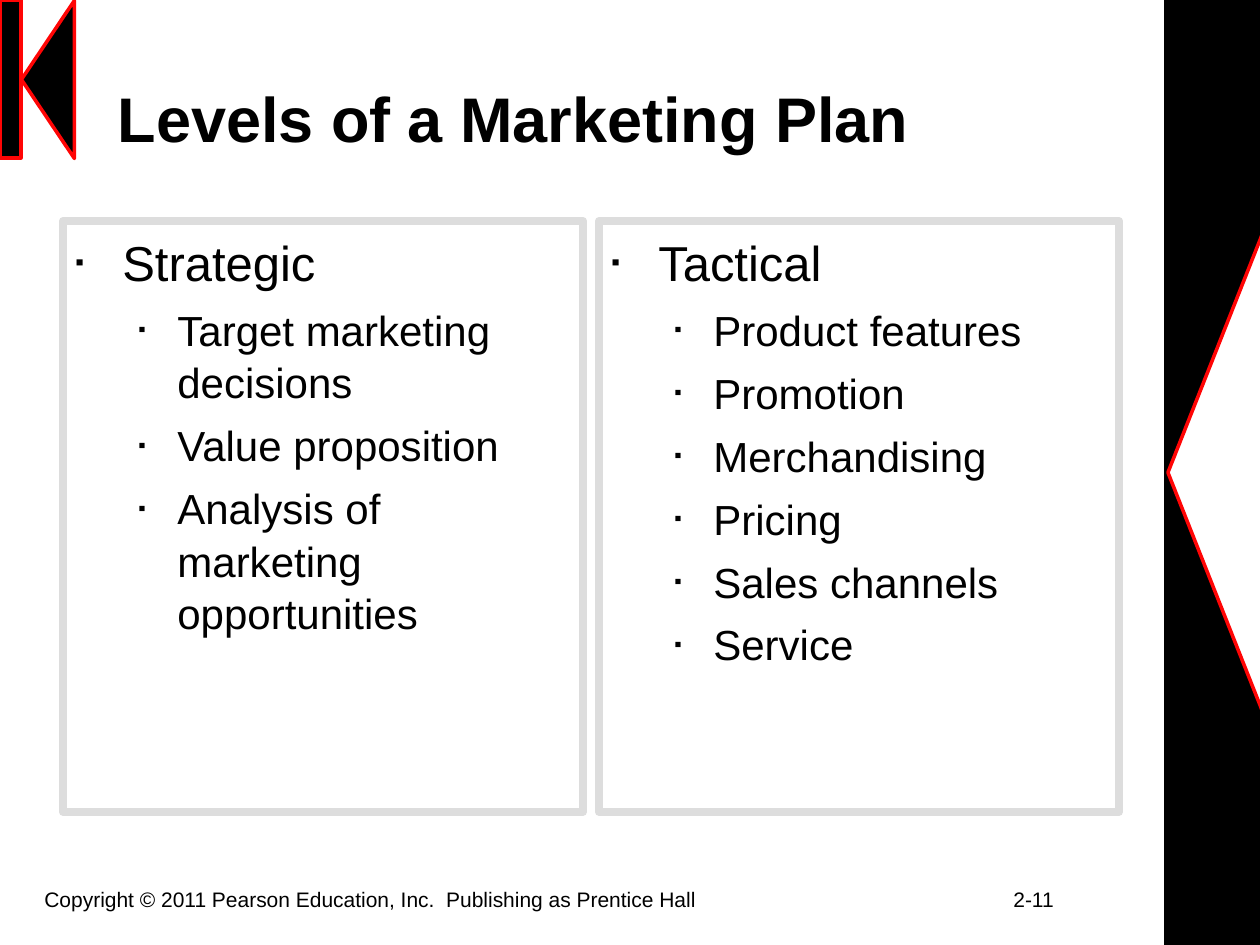
"""Build the slide comparing the levels of a marketing plan."""
from dataclasses import dataclass
from typing import NamedTuple

from lxml.etree import SubElement
from pptx import Presentation
from pptx.dml.color import RGBColor
from pptx.enum.shapes import MSO_SHAPE
from pptx.enum.text import MSO_ANCHOR, MSO_AUTO_SIZE, PP_ALIGN
from pptx.oxml.ns import qn
from pptx.slide import Slide
from pptx.text.text import TextFrame, _Paragraph
from pptx.util import Emu, Pt

EMU_PER_PX = 914400 / 126


@dataclass(frozen=True)
class Theme:
    """Colours, font and type sizes of the slide."""

    black: str = "000000"
    white: str = "FFFFFF"
    red: str = "FF0505"
    border: str = "DDDDDD"
    font: str = "Arial"
    title_size: int = 36
    heading_size: int = 28
    item_size: int = 24
    footer_size: int = 12


class Box(NamedTuple):
    """Left, top, width and height in px."""

    left: int
    top: int
    width: int
    height: int


class Decoration(NamedTuple):
    """A filled, outlined background shape."""

    kind: MSO_SHAPE
    box: Box
    fill: str
    line: str
    rotation: int = 0


class Level(NamedTuple):
    """Indents in px, type size and spacing in points of a bullet level."""

    number: int
    indent: int
    hanging: int
    size: int
    spacing: float


class Panel(NamedTuple):
    """A bordered list with a heading and its items."""

    heading: str
    items: tuple[str, ...]


THEME = Theme()
HEADING = Level(0, 47, 47, THEME.heading_size, 3.5)
ITEM = Level(1, 102, 39, THEME.item_size, 3)
FIRST_PANEL = Box(63, 221, 520, 591)
PANEL_PITCH = 536
FOOTER_TAB = 969

DECORATIONS = (
    Decoration(MSO_SHAPE.RECTANGLE, Box(1166, 0, 94, 945), THEME.black, THEME.black),
    Decoration(MSO_SHAPE.ISOSCELES_TRIANGLE, Box(789, 379, 945, 187), THEME.white, THEME.red, 270),
    Decoration(MSO_SHAPE.ISOSCELES_TRIANGLE, Box(-31, 53, 158, 53), THEME.black, THEME.red, 270),
    Decoration(MSO_SHAPE.RECTANGLE, Box(0, 0, 21, 158), THEME.black, THEME.red),
)
PANELS = (
    Panel("Strategic", (
        "Target marketing decisions",
        "Value proposition",
        "Analysis of marketing opportunities",
    )),
    Panel("Tactical", (
        "Product features",
        "Promotion",
        "Merchandising",
        "Pricing",
        "Sales channels",
        "Service",
    )),
)


def px(length: int) -> Emu:
    """Convert px to EMU."""
    return Emu(round(length * EMU_PER_PX))


def place(box: Box) -> tuple[Emu, ...]:
    """Convert a box to EMU lengths."""
    return tuple(px(length) for length in box)


def format_runs(paragraph: _Paragraph, size: int, bold: bool = False) -> None:
    """Apply the theme font to every run of a paragraph."""
    for run in paragraph.runs:
        run.font.name = THEME.font
        run.font.size = Pt(size)
        run.font.bold = bold
        run.font.color.rgb = RGBColor.from_string(THEME.black)


def set_frame(frame: TextFrame, anchor: MSO_ANCHOR) -> None:
    """Set wrapping, fitting and anchoring of a text frame."""
    frame.word_wrap = True
    frame.auto_size = MSO_AUTO_SIZE.NONE
    frame.vertical_anchor = anchor


def draw_decoration(slide: Slide, decoration: Decoration) -> None:
    """Draw one background shape."""
    shape = slide.shapes.add_shape(decoration.kind, *place(decoration.box))
    shape.rotation = decoration.rotation
    shape.shadow.inherit = False
    shape.fill.solid()
    shape.fill.fore_color.rgb = RGBColor.from_string(decoration.fill)
    shape.line.color.rgb = RGBColor.from_string(decoration.line)
    shape.line.width = Pt(2)


def draw_title(slide: Slide, text: str, box: Box) -> None:
    """Fill and move the title placeholder."""
    title = slide.shapes.title
    title.left, title.top, title.width, title.height = place(box)
    set_frame(title.text_frame, MSO_ANCHOR.MIDDLE)
    title.text_frame.text = text
    paragraph = title.text_frame.paragraphs[0]
    paragraph.alignment = PP_ALIGN.LEFT
    format_runs(paragraph, THEME.title_size, bold=True)


def add_bullet(paragraph: _Paragraph, level: Level) -> None:
    """Give a paragraph a half-size square bullet and hanging indent."""
    properties = paragraph._p.get_or_add_pPr()
    properties.set("marL", str(px(level.indent)))
    properties.set("indent", str(-px(level.hanging)))
    colour = SubElement(properties, qn("a:buClr"))
    SubElement(colour, qn("a:srgbClr"), val=THEME.black)
    SubElement(properties, qn("a:buSzPct"), val="50000")
    SubElement(properties, qn("a:buFont"), typeface=THEME.font)
    SubElement(properties, qn("a:buChar"), char="▪")


def draw_panel(slide: Slide, panel: Panel, box: Box) -> None:
    """Draw a bordered bullet list."""
    shape = slide.shapes.add_textbox(*place(box))
    shape.line.color.rgb = RGBColor.from_string(THEME.border)
    shape.line.width = Pt(4.5)
    frame = shape.text_frame
    set_frame(frame, MSO_ANCHOR.TOP)
    frame.margin_top = px(9)
    frame.text = "\n".join((panel.heading, *panel.items))
    for index, paragraph in enumerate(frame.paragraphs):
        level = ITEM if index else HEADING
        add_bullet(paragraph, level)
        paragraph.level = level.number
        paragraph.line_spacing = 1.04
        paragraph.space_before = Pt(level.spacing if index else 0)
        paragraph.space_after = Pt(level.spacing)
        format_runs(paragraph, level.size)


def draw_footer(slide: Slide, text: str, box: Box) -> None:
    """Draw the copyright line and the page number at a tab stop."""
    frame = slide.shapes.add_textbox(*place(box)).text_frame
    set_frame(frame, MSO_ANCHOR.TOP)
    frame.text = text
    paragraph = frame.paragraphs[0]
    tabs = SubElement(paragraph._p.get_or_add_pPr(), qn("a:tabLst"))
    SubElement(tabs, qn("a:tab"), pos=str(px(FOOTER_TAB)), algn="l")
    format_runs(paragraph, THEME.footer_size)


def main() -> None:
    """Build and save the presentation."""
    presentation = Presentation()
    presentation.slide_width, presentation.slide_height = px(1260), px(945)
    slide = presentation.slides.add_slide(presentation.slide_layouts[5])
    for decoration in DECORATIONS:
        draw_decoration(slide, decoration)
    draw_footer(
        slide,
        "Copyright © 2011 Pearson Education, Inc.  Publishing as Prentice Hall\t2-11",
        Box(32, 880, 1187, 65),
    )
    draw_title(slide, "Levels of a Marketing Plan", Box(105, 38, 1061, 158))
    for index, panel in enumerate(PANELS):
        left = FIRST_PANEL.left + index * PANEL_PITCH
        draw_panel(slide, panel, FIRST_PANEL._replace(left=left))
    presentation.save("out.pptx")


if __name__ == "__main__":
    main()
